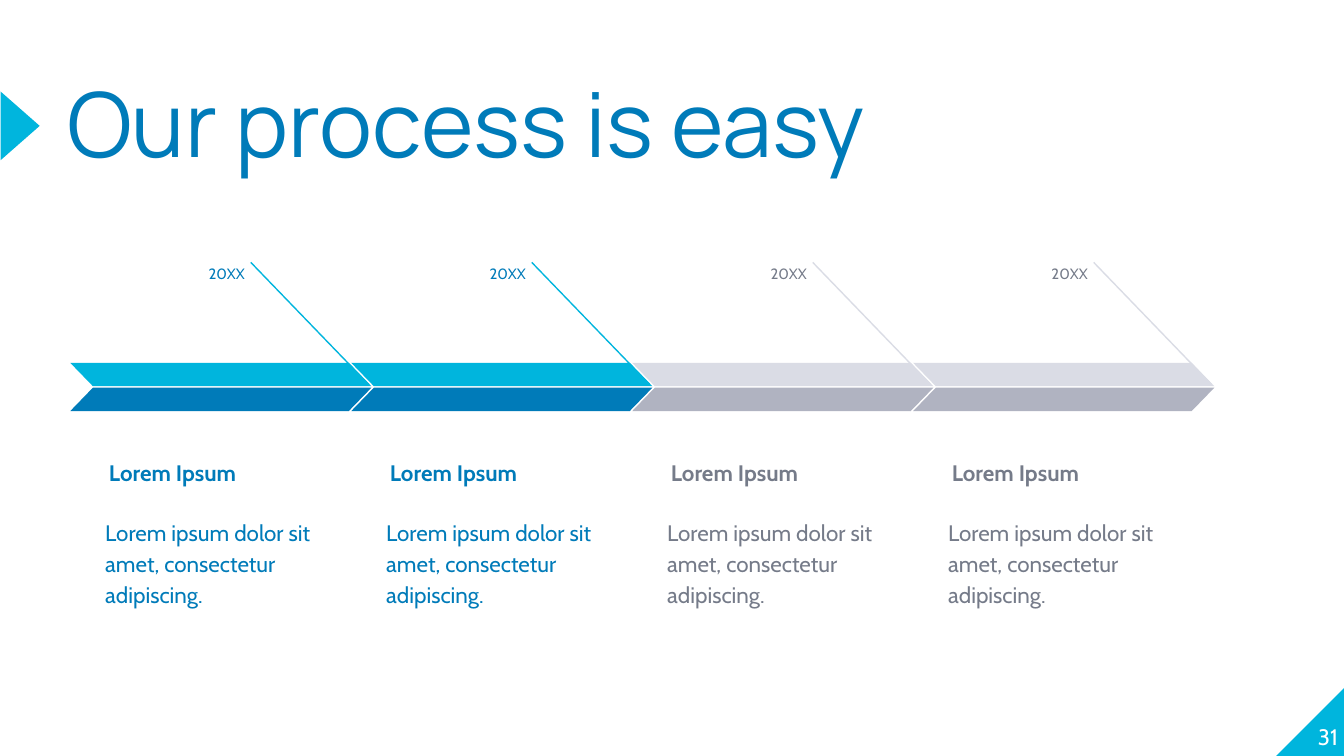
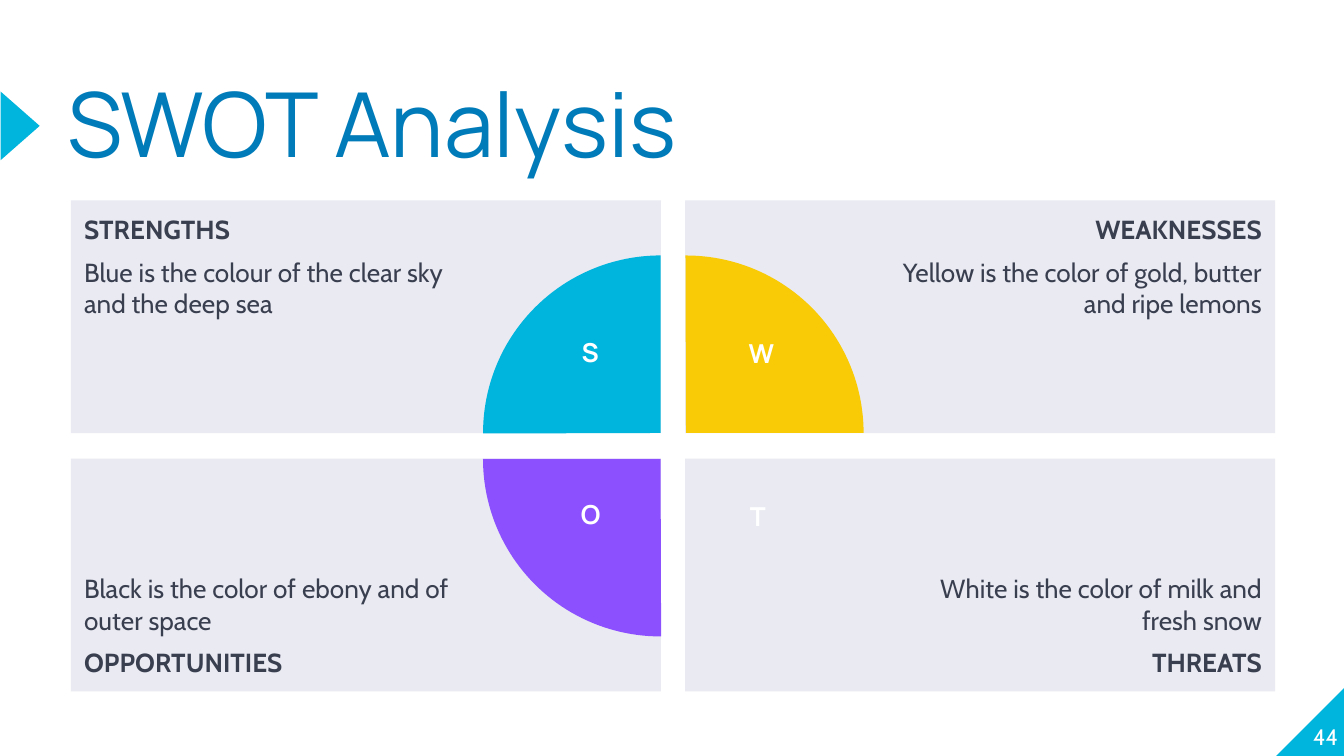
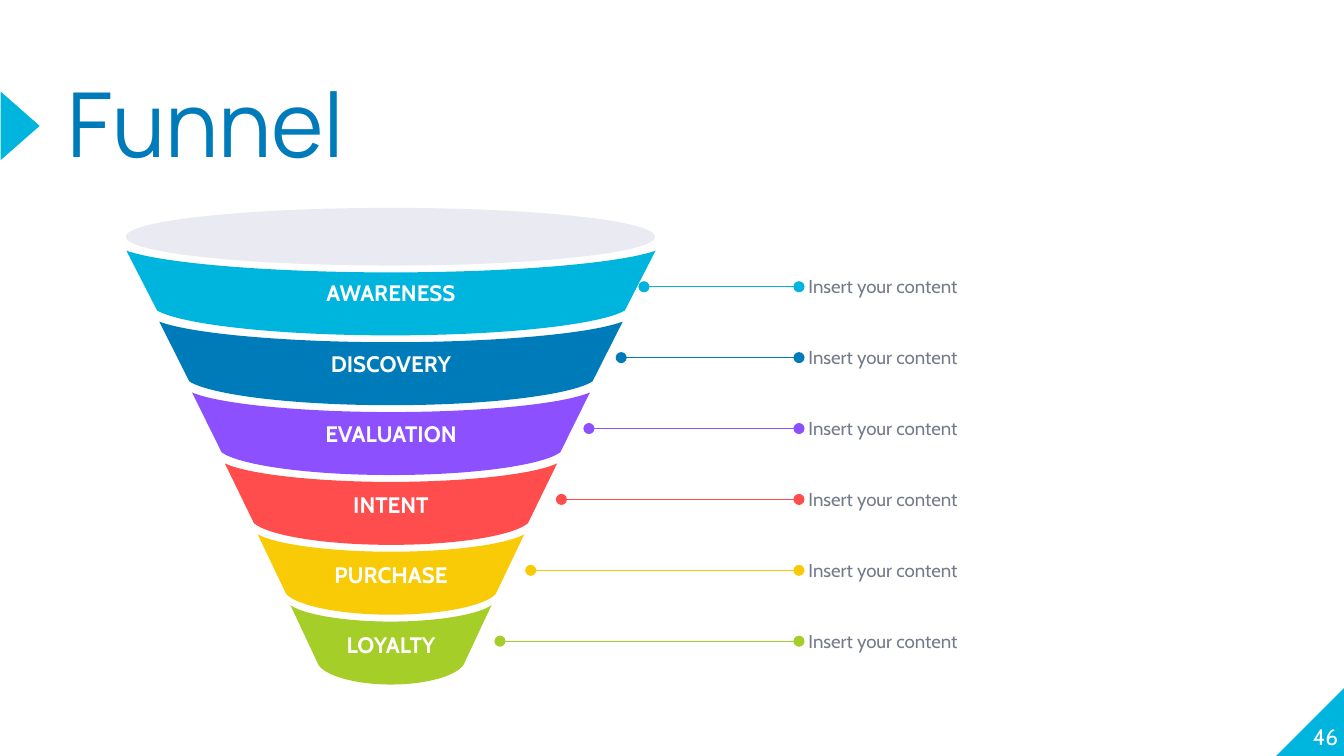
from dataclasses import dataclass, field

from lxml.etree import SubElement
from pptx import Presentation
from pptx.dml.color import RGBColor as RGB
from pptx.enum.shapes import MSO_CONNECTOR as CONN, MSO_SHAPE as SHAPE
from pptx.enum.text import MSO_ANCHOR as ANCHOR, PP_ALIGN as ALIGN
from pptx.oxml.ns import qn
from pptx.util import Cm, Pt

COLORS = {
    "cyan": "00B5DD", "blue": "007BB9", "purple": "8C50FF", "red": "FF4D4D",
    "yellow": "F9CB07", "green": "A6CE28", "white": "FFFFFF", "pale": "E9EAF2",
    "silver": "DADCE5", "steel": "B0B3C1", "gray": "757B89", "ink": "3A3F50",
}
BODY, HEADING = "Cabin", "Manrope"
NO_INSET = (0, 0, 0, 0)
EVEN_INSET = (0.25, 0.25, 0.25, 0.25)


@dataclass(frozen=True)
class Box:
    x: float
    y: float
    w: float
    h: float

    def shifted(self, dx: float = 0, dy: float = 0) -> "Box":
        return Box(self.x + dx, self.y + dy, self.w, self.h)

    def lengths(self) -> list:
        return [Cm(v) for v in (self.x, self.y, self.w, self.h)]


@dataclass(frozen=True)
class Para:
    text: str
    size: float
    color: str
    bold: bool = False
    name: str = BODY
    fmt: dict = field(default_factory=dict)


@dataclass(frozen=True)
class Step:
    upper: str
    lower: str
    text: str


@dataclass(frozen=True)
class Quadrant:
    title: str
    note: str
    col: int
    row: int


@dataclass(frozen=True)
class Wedge:
    box: Box
    color: str
    rotation: int


@dataclass(frozen=True)
class Letter:
    text: str
    box: Box


@dataclass(frozen=True)
class Stage:
    text: str
    color: str
    leader_x: float


def set_all(obj, values: dict) -> None:
    for key, value in values.items():
        setattr(obj, key, value)


def write(shape, paras: list[Para], inset=NO_INSET, anchor=ANCHOR.TOP, wrap=True) -> None:
    tf = shape.text_frame
    sides = ("margin_left", "margin_top", "margin_right", "margin_bottom")
    set_all(tf, {side: Cm(v) for side, v in zip(sides, inset)})
    set_all(tf, {"word_wrap": wrap, "vertical_anchor": anchor})
    for i, para in enumerate(paras):
        p = tf.add_paragraph() if i else tf.paragraphs[0]
        set_all(p, {"alignment": ALIGN.LEFT, **para.fmt})
        r = p.add_run()
        r.text = para.text
        set_all(r.font, {"name": para.name, "size": Pt(para.size), "bold": para.bold})
        r.font.color.rgb = RGB.from_string(COLORS[para.color])


def add_text(s, box: Box, paras: list[Para], **options):
    sp = s.shapes.add_textbox(*box.lengths())
    write(sp, paras, **options)
    return sp


def paint(sp, color: str) -> None:
    sp.shadow.inherit = False
    sp.fill.solid()
    sp.fill.fore_color.rgb = RGB.from_string(COLORS[color])
    sp.line.fill.background()


def add_shape(s, kind, box: Box, color: str, rotation=0, flip=False, adjust=()):
    sp = s.shapes.add_shape(kind, *box.lengths())
    paint(sp, color)
    sp.rotation = rotation
    for i, value in enumerate(adjust):
        sp.adjustments[i] = value
    if flip:
        sp._element.spPr.get_or_add_xfrm().set("flipH", "1")
    return sp


def add_line(s, x1: float, y1: float, x2: float, y2: float, color: str, dots=False):
    cx = s.shapes.add_connector(CONN.STRAIGHT, Cm(x1), Cm(y1), Cm(x2), Cm(y2))
    cx.line.color.rgb = RGB.from_string(COLORS[color])
    cx.line.width = Pt(0.75)
    if dots:
        for end in ("a:headEnd", "a:tailEnd"):
            SubElement(cx.line._get_or_add_ln(), qn(end)).set("type", "oval")
    SubElement(cx._element.spPr, qn("a:effectLst"))
    return cx


def new_slide(prs, title: str, number: int):
    s = prs.slides.add_slide(prs.slide_layouts[6])
    add_shape(s, SHAPE.RIGHT_TRIANGLE, Box(24.12, 12.99, 1.3, 1.3), "cyan", flip=True)
    add_shape(s, SHAPE.ISOSCELES_TRIANGLE, Box(-0.27, 2.01, 1.3, 0.74), "cyan", rotation=90)
    add_text(s, Box(1.27, 1.68, 15.67, 3),
             [Para(title, 48, "blue", name=HEADING, fmt={"line_spacing": 0.8})])
    add_text(s, Box(24.02, 12.88, 1.27, 1.3),
             [Para(str(number), 12, "white", fmt={"alignment": ALIGN.RIGHT})],
             anchor=ANCHOR.BOTTOM)
    return s


DONE = Step("cyan", "blue", "blue")
AHEAD = Step("silver", "steel", "gray")
STEP_PITCH = 5.31


def process_slide(prs) -> None:
    s = new_slide(prs, "Our process is easy", 31)
    heading = {"line_spacing": 1.15}
    body = {**heading, "space_after": Pt(16)}
    for i, step in enumerate([DONE, DONE, AHEAD, AHEAD]):
        dx = i * STEP_PITCH
        add_text(s, Box(2.95, 4.57, 1.93, 0.74).shifted(dx),
                 [Para("20XX", 8, step.text, fmt={**body, "alignment": ALIGN.RIGHT})],
                 inset=(0.25, 0.38, 0.25, 0))
        add_text(s, Box(1.81, 8.07, 4.67, 1.37).shifted(dx),
                 [Para("Lorem Ipsum", 12, step.text, True, fmt=heading)],
                 inset=EVEN_INSET, anchor=ANCHOR.BOTTOM)
        add_text(s, Box(1.74, 9.49, 4.8, 2.29).shifted(dx),
                 [Para("Lorem ipsum dolor sit amet, consectetur adipiscing.", 12, step.text,
                       fmt=body)], inset=EVEN_INSET)
        add_line(s, 4.74 + dx, 4.96, 6.97 + dx, 7.27, step.upper)
        bar = Box(1.33, 6.86, 5.69, 0.44).shifted(dx)
        add_shape(s, SHAPE.PARALLELOGRAM, bar, step.upper, flip=True, adjust=[0.97])
        add_shape(s, SHAPE.PARALLELOGRAM, bar.shifted(dy=0.47), step.lower, adjust=[0.97])


QUADRANTS = [
    Quadrant("STRENGTHS", "Blue is the colour of the clear sky and the deep sea", 0, 0),
    Quadrant("WEAKNESSES", "Yellow is the color of gold, butter and ripe lemons", 1, 0),
    Quadrant("OPPORTUNITIES", "Black is the color of ebony and of outer space", 0, 1),
    Quadrant("THREATS", "White is the color of milk and fresh snow", 1, 1),
]
WEDGES = [
    Wedge(Box(9.13, 4.83, 6.71, 6.71), "cyan", 0),
    Wedge(Box(9.61, 4.83, 6.71, 6.71), "yellow", 90),
    Wedge(Box(9.13, 5.32, 6.71, 6.71), "purple", 270),
]
LETTERS = [
    Letter("S", Box(10.67, 6.22, 0.97, 1.24)),
    Letter("W", Box(13.49, 6.25, 1.8, 1.22)),
    Letter("O", Box(10.57, 9.3, 1.19, 1.22)),
    Letter("T", Box(13.79, 9.33, 1.07, 1.22)),
]


def swot_slide(prs) -> None:
    s = new_slide(prs, "SWOT Analysis", 44)
    for q in QUADRANTS:
        box = Box(1.34, 3.79, 11.15, 4.4).shifted(q.col * 11.61, q.row * 4.88)
        sp = add_shape(s, SHAPE.RECTANGLE, box, "pale")
        first = {"alignment": ALIGN.RIGHT if q.col else ALIGN.LEFT}
        second = {**first, "space_before": Pt(6), "space_after": Pt(6)}
        lines = [(q.title, True), (q.note, False)]
        if q.row:
            lines.reverse()
        write(sp, [Para(text, 14, "ink", bold, fmt=fmt)
                   for (text, bold), fmt in zip(lines, (first, second))],
              inset=(3.81, 0.25, 0.25, 0.25) if q.col else (0.25, 0.25, 3.81, 0.25),
              anchor=ANCHOR.BOTTOM if q.row else ANCHOR.TOP)
    for wedge in WEDGES:
        add_shape(s, SHAPE.PIE, wedge.box, wedge.color, wedge.rotation, adjust=[107.89, 162])
    for letter in LETTERS:
        add_text(s, letter.box,
                 [Para(letter.text, 14, "white", True, HEADING, {"alignment": ALIGN.CENTER})],
                 inset=(0.25, 0.13, 0.25, 0.13), wrap=False)


STAGES = [
    Stage("AWARENESS", "cyan", 12.17),
    Stage("DISCOVERY", "blue", 11.74),
    Stage("EVALUATION", "purple", 11.13),
    Stage("INTENT", "red", 10.61),
    Stage("PURCHASE", "yellow", 10.03),
    Stage("LOYALTY", "green", 9.45),
]
FUNNEL_X = 7.39
STAGE_PITCH = 1.34
RIM_CURVE = [(-1, 0), (-0.85, 0.63), (-0.42, 1), (0, 1)]
BASE_CURVE = [(-1, 0), (-0.9, 0.55), (-0.5, 1), (0, 1)]
CURVE_STARTS = (0, 3, 7, 10)


def arc(curve: list, half: float, y: float, dip: float) -> list:
    whole = curve + [(-x, v) for x, v in reversed(curve[:-1])]
    return [(Cm(FUNNEL_X + x * half), Cm(y + v * dip)) for x, v in whole]


def bend(sp, starts: tuple) -> None:
    segments = list(sp._element.iter(qn("a:lnTo")))
    for start in starts:
        trio = segments[start:start + 3]
        outline = trio[0].getparent()
        curve = SubElement(outline, qn("a:cubicBezTo"))
        trio[0].addprevious(curve)
        for segment in trio:
            curve.append(segment[0])
            outline.remove(segment)


def add_band(s, i: int, color: str):
    top = 4.74 + i * STAGE_PITCH
    rim = arc(RIM_CURVE, 5 - 0.62 * i, top, 0.41 - 0.02 * i)
    base = arc(BASE_CURVE, 4.42 - 0.61 * i, top + 1.13, 0.47 - 0.02 * i)
    outline = rim + base[::-1]
    fb = s.shapes.build_freeform(*outline[0])
    fb.add_line_segments(outline[1:], close=True)
    sp = fb.convert_to_shape()
    bend(sp, CURVE_STARTS)
    paint(sp, color)
    return sp


def funnel_slide(prs) -> None:
    s = new_slide(prs, "Funnel", 46)
    for i, stage in enumerate(STAGES):
        write(add_band(s, i, stage.color),
              [Para(stage.text, 12, "white", True, fmt={"alignment": ALIGN.CENTER})],
              inset=(0.18, 0.1, 0.18, 0.1), anchor=ANCHOR.MIDDLE)
    add_shape(s, SHAPE.OVAL, Box(2.38, 3.93, 10, 1.09), "pale")
    for i, stage in enumerate(STAGES):
        y = 5.42 + i * STAGE_PITCH
        add_line(s, stage.leader_x, y, 15.1, y, stage.color, dots=True)
        add_text(s, Box(15.28, y - 0.48, 7.75, 0.94),
                 [Para("Insert your content", 10, "gray")], anchor=ANCHOR.MIDDLE)


def main() -> None:
    prs = Presentation()
    set_all(prs, {"slide_width": Cm(25.4), "slide_height": Cm(14.29)})
    for build in (process_slide, swot_slide, funnel_slide):
        build(prs)
    prs.save("out.pptx")


if __name__ == "__main__":
    main()
